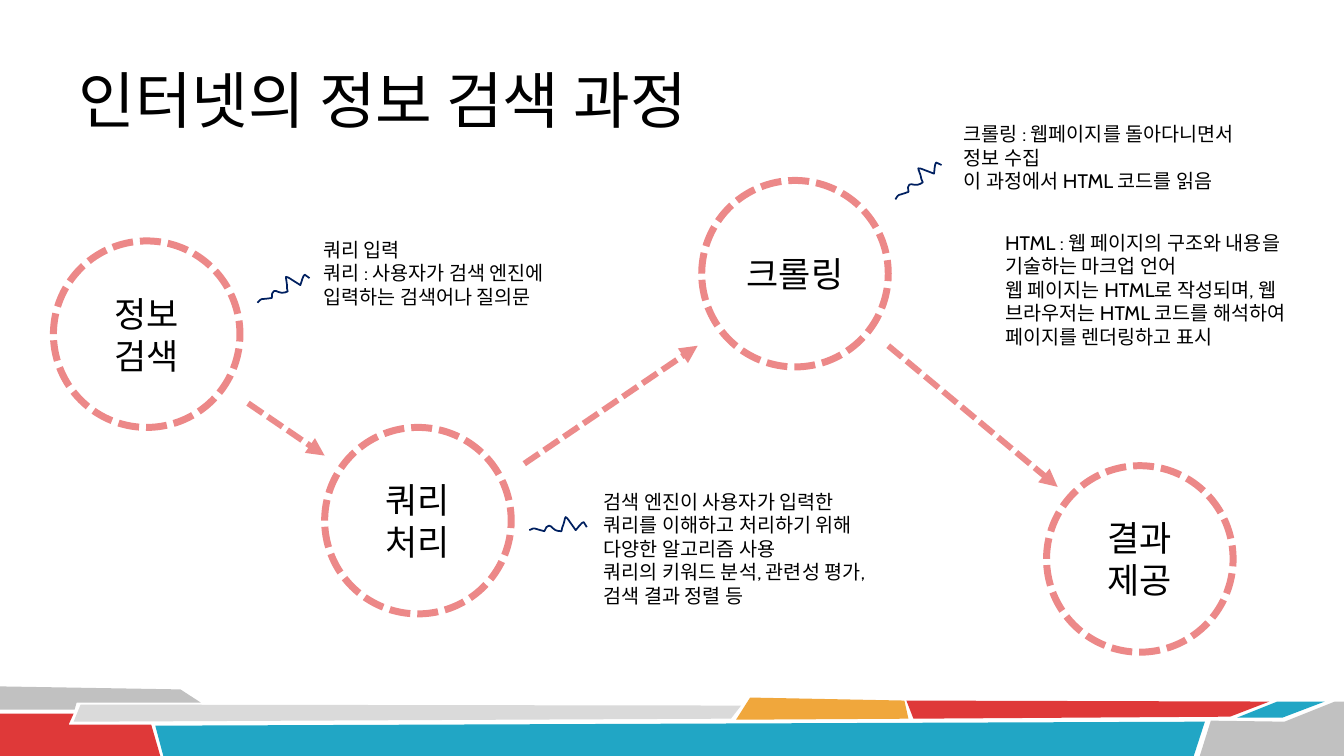
from dataclasses import dataclass

from lxml import etree
from pptx import Presentation, util as u
from pptx.dml.color import RGBColor
from pptx.enum import dml, shapes, text
from pptx.oxml.ns import qn


@dataclass(frozen=True)
class Theme:
    ink: str = "000000"
    ring: str = "EC8888"
    squiggle: str = "002060"
    gray: str = "C1C1C1"
    pale: str = "DADADA"
    red: str = "DF3939"
    blue: str = "21A6C5"
    gold: str = "F0A73C"
    title_font: str = "Calibri"
    body_font: str = "Cabin"
    title_size: float = 44
    step_size: float = 25
    note_size: float = 14
    ring_width: float = 5
    arrow_width: float = 4.25
    squiggle_width: float = 1.25


THEME = Theme()
TITLE = "인터넷의 정보 검색 과정"
TITLE_BOX = (0.68, 0.54, 6.92, 0.88)

RING_SIZE = 1.85
STEPS = [  # label, left, top
    ("정보 검색", 0.53, 2.39),
    ("쿼리 처리", 3.22, 4.24),
    ("크롤링", 6.96, 1.79),
    ("결과 제공", 10.38, 4.62),
]
ARROWS = [  # from x, y, to x, y
    (2.46, 4, 3.22, 4.52),
    (5.2, 4.6, 6.92, 3.43),
    (8.81, 3.43, 10.49, 4.83),
]
NOTES = [  # box, paragraphs
    ((3.11, 2.31, 2.56, 0.81),
     ["쿼리 입력", "쿼리 : 사용자가 검색 엔진에 입력하는 검색어나 질의문"]),
    ((5.89, 4.81, 3.03, 1.28),
     ["검색 엔진이 사용자가 입력한 쿼리를 이해하고 처리하기 위해",
      "다양한 알고리즘 사용",
      "쿼리의 키워드 분석, 관련성 평가, 검색 결과 정렬 등"]),
    ((9.46, 1.16, 3.03, 0.81),
     ["크롤링 : 웹페이지를 돌아다니면서 정보 수집",
      "이 과정에서 HTML 코드를 읽음"]),
    ((9.87, 2.24, 3.17, 1.28),
     ["HTML : 웹 페이지의 구조와 내용을 기술하는 마크업 언어",
      "웹 페이지는 HTML로 작성되며, 웹 브라우저는 HTML 코드를 해석하여 "
      "페이지를 렌더링하고 표시"]),
]

# Bezier points around the squiggle's centre: a start, then three per curve
SQUIGGLE = [
    (0.28, 0.03),
    (0.27, 0.02), (0.26, -0.01), (0.25, -0.02),
    (0.23, -0.02), (0.19, 0.04), (0.17, 0.06),
    (0.15, 0.03), (0.12, -0.01), (0.1, -0.04),
    (0.09, -0.05), (0.08, -0.07), (0.07, -0.07),
    (0.06, -0.06), (0.06, -0.02), (0.05, 0),
    (0.04, 0.02), (0.03, 0.05), (0.03, 0.07),
    (0.01, 0.07), (-0.01, 0.07), (-0.03, 0.06),
    (-0.07, 0.04), (-0.08, -0.01), (-0.12, 0.03),
    (-0.13, 0.04), (-0.13, 0.06), (-0.14, 0.07),
    (-0.27, 0.04), (-0.22, 0.03), (-0.29, 0.06),
]
SQUIGGLE_SPOTS = [  # centre x, y, rotation
    (2.8, 2.84, 337.7),
    (5.54, 5.2, 0),
    (9.09, 1.77, 326.3),
]
FOOTER_BANDS = [
    (THEME.gray, [(0, 6.81), (1.79, 6.84), (1.99, 6.97), (0.76, 6.97),
                  (0.74, 7.04), (0, 7.04)]),
    (THEME.red, [(0, 7.08), (0.73, 7.08), (0.68, 7.19), (1.5, 7.19),
                 (1.59, 7.5), (0, 7.5)]),
    (THEME.pale, [(0.8, 6.99), (7.35, 7), (7.25, 7.13), (0.73, 7.16)]),
    (THEME.blue, [(1.54, 7.2), (11.95, 7.16), (11.84, 7.5), (1.62, 7.5)]),
    (THEME.gold, [(7.44, 6.92), (8.97, 6.95), (9.01, 7.13), (7.3, 7.14)]),
    (THEME.red, [(8.99, 6.95), (12.59, 6.96), (12.2, 7.11), (9.06, 7.13)]),
    (THEME.blue, [(12.67, 6.96), (13.14, 6.96), (12.72, 7.12), (12.27, 7.12)]),
    (THEME.gray, [(12.01, 7.15), (12.74, 7.16), (13.24, 6.96), (13.33, 6.96),
                  (13.33, 7.5), (11.9, 7.5)]),
]


def inches(values):
    return [u.Inches(value) for value in values]


def set_all(target, values):
    for name, value in values.items():
        setattr(target, name, value)


def write(frame, paragraphs, font, size, align, **frame_format):
    set_all(frame, {"word_wrap": True, **frame_format})
    for index, words in enumerate(paragraphs):
        paragraph = frame.add_paragraph() if index else frame.paragraphs[0]
        paragraph.alignment = align
        run = paragraph.add_run()
        run.text = words
        set_all(run.font, {"name": font, "size": u.Pt(size)})
        run.font.color.rgb = RGBColor.from_string(THEME.ink)


def stroke(line, color, width, dash=None):
    line.color.rgb = RGBColor.from_string(color)
    set_all(line, {"width": u.Pt(width), "dash_style": dash})


def add_outline(slide, points, closed):
    first, *rest = [inches(point) for point in points]
    builder = slide.shapes.build_freeform(*first)
    builder.add_line_segments(rest, close=closed)
    outline = builder.convert_to_shape()
    outline.shadow.inherit = False
    return outline


def add_band(slide, color, points):
    band = add_outline(slide, points, True)
    band.fill.solid()
    band.fill.fore_color.rgb = RGBColor.from_string(color)
    band.line.fill.background()


def add_squiggle(slide, x, y, rotation):
    """Turn every three line segments of the outline into one curve."""
    squiggle = add_outline(slide, [(x + dx, y + dy) for dx, dy in SQUIGGLE], False)
    segments = list(squiggle.element.iter(qn("a:lnTo")))
    for start in range(0, len(segments), 3):
        curve = etree.Element(qn("a:cubicBezTo"))
        segments[start].addprevious(curve)
        for segment in segments[start:start + 3]:
            curve.append(segment[0])
            segment.getparent().remove(segment)
    squiggle.fill.background()
    stroke(squiggle.line, THEME.squiggle, THEME.squiggle_width)
    squiggle.rotation = rotation


def add_step(slide, label, left, top):
    ring = slide.shapes.add_shape(shapes.MSO_SHAPE.OVAL,
                                  *inches((left, top, RING_SIZE, RING_SIZE)))
    ring.shadow.inherit = False
    ring.fill.background()
    stroke(ring.line, THEME.ring, THEME.ring_width, dml.MSO_LINE.SQUARE_DOT)
    write(ring.text_frame, [label], THEME.body_font, THEME.step_size,
          text.PP_ALIGN.CENTER, vertical_anchor=text.MSO_ANCHOR.MIDDLE)


def add_arrow(slide, ends):
    arrow = slide.shapes.add_connector(shapes.MSO_CONNECTOR.STRAIGHT, *inches(ends))
    stroke(arrow.line, THEME.ring, THEME.arrow_width, dml.MSO_LINE.SQUARE_DOT)
    outline = arrow.get_or_add_ln()
    color = outline.find(".//" + qn("a:srgbClr"))
    etree.SubElement(color, qn("a:alpha"), val="96000")
    etree.SubElement(outline, qn("a:tailEnd"), type="triangle")
    etree.SubElement(arrow.element.spPr, qn("a:effectLst"))


def main():
    deck = Presentation()
    set_all(deck, {"slide_width": u.Inches(13.33), "slide_height": u.Inches(7.5)})
    slide = deck.slides.add_slide(deck.slide_layouts[5])
    for color, points in FOOTER_BANDS:
        add_band(slide, color, points)
    title = slide.shapes.title
    set_all(title, dict(zip(("left", "top", "width", "height"), inches(TITLE_BOX))))
    write(title.text_frame, [TITLE], THEME.title_font, THEME.title_size,
          text.PP_ALIGN.LEFT, vertical_anchor=text.MSO_ANCHOR.MIDDLE,
          auto_size=text.MSO_AUTO_SIZE.NONE)
    for ends in ARROWS:
        add_arrow(slide, ends)
    for step in STEPS:
        add_step(slide, *step)
    for spot in SQUIGGLE_SPOTS:
        add_squiggle(slide, *spot)
    for box, paragraphs in NOTES:
        note = slide.shapes.add_textbox(*inches(box))
        write(note.text_frame, paragraphs, THEME.body_font, THEME.note_size,
              text.PP_ALIGN.LEFT, auto_size=text.MSO_AUTO_SIZE.SHAPE_TO_FIT_TEXT)
    deck.save("out.pptx")


if __name__ == "__main__":
    main()
